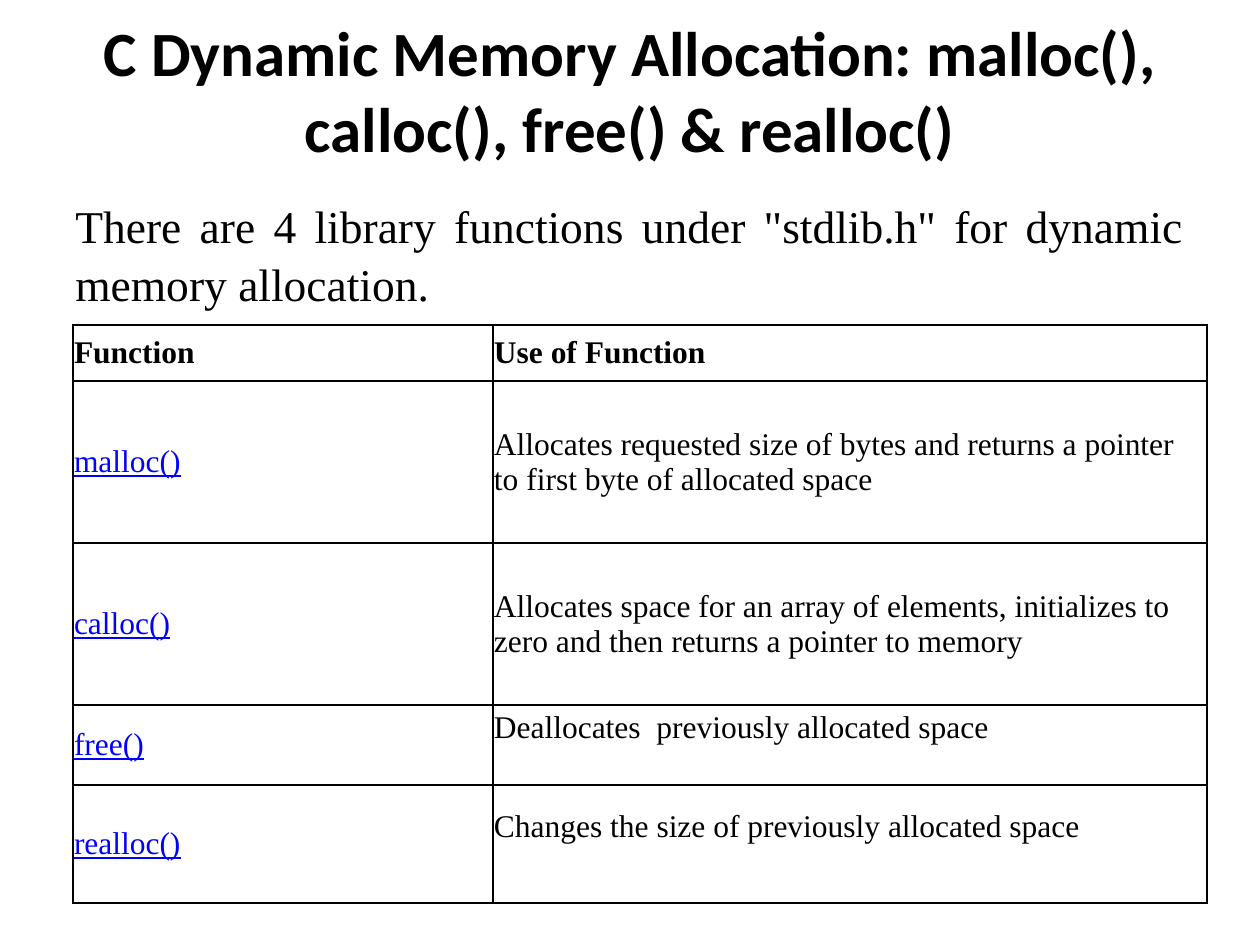
from lxml.etree import SubElement
from pptx import Presentation
from pptx.dml.color import RGBColor
from pptx.enum.text import MSO_ANCHOR as Anchor, PP_ALIGN as Align
from pptx.oxml.ns import qn
from pptx.util import Pt

PX = 914400 // 126
BLACK, LINK, WHITE = "000000", "0000FF", "FFFFFF"
SERIF = "Times New Roman"
TITLE = "C Dynamic Memory Allocation: malloc(), calloc(), free() & realloc()"
INTRO = 'There are 4 library functions under "stdlib.h" for dynamic memory allocation.'
HEADER = ("Function", "Use of Function")
FUNCTIONS = [
    ("malloc()", "Allocates requested size of bytes and returns a pointer to first byte of allocated space"),
    ("calloc()", "Allocates space for an array of elements, initializes to zero and then returns a pointer to memory"),
    ("free()", "Deallocates  previously allocated space"),
    ("realloc()", "Changes the size of previously allocated space"),
]
COLUMN_WIDTHS = (420, 714)
ROW_HEIGHTS = (56, 162, 162, 80, 118)
TABLE_LEFT, TABLE_TOP = 73, 325
CELL_MARGIN, RAISED_MARGIN = 1, 35
RAISED_CELLS = {(3, 1), (4, 1)}


def px(*lengths):
    return [length * PX for length in lengths]


def color(value):
    return RGBColor.from_string(value)


def write(frame, text, size, font=SERIF, ink=BLACK, bold=False, underline=False, align=Align.LEFT):
    frame.text = text
    frame.word_wrap = True
    para = frame.paragraphs[0]
    para.alignment = align
    style = para.runs[0].font
    style.name, style.size, style.bold, style.underline = font, Pt(size), bold, underline
    style.color.rgb = color(ink)
    return para


def add_text(page, place, anchor, *content, **look):
    frame = page.shapes.add_textbox(*px(*place)).text_frame
    frame.vertical_anchor = anchor
    return write(frame, *content, **look)


def add_borders(cell):
    properties = cell._tc.get_or_add_tcPr()
    for position, side in enumerate(("lnL", "lnR", "lnT", "lnB")):
        line = SubElement(properties, qn(f"a:{side}"), w=str(Pt(1)))
        fill = SubElement(line, qn("a:solidFill"))
        SubElement(fill, qn("a:srgbClr"), val=BLACK)
        properties.insert(position, line)


def add_function_table(page):
    rows = [HEADER, *FUNCTIONS]
    table = page.shapes.add_table(
        len(rows), len(HEADER),
        *px(TABLE_LEFT, TABLE_TOP, sum(COLUMN_WIDTHS), sum(ROW_HEIGHTS)),
    ).table
    for column, width in zip(table.columns, px(*COLUMN_WIDTHS)):
        column.width = width
    for row, height in zip(table.rows, px(*ROW_HEIGHTS)):
        row.height = height
    for r, texts in enumerate(rows):
        for c, text in enumerate(texts):
            cell = table.cell(r, c)
            is_link = r > 0 and c == 0
            bottom = RAISED_MARGIN if (r, c) in RAISED_CELLS else CELL_MARGIN
            cell.margin_left = cell.margin_right = cell.margin_top = CELL_MARGIN * PX
            cell.margin_bottom = bottom * PX
            cell.vertical_anchor = Anchor.MIDDLE
            cell.fill.solid()
            cell.fill.fore_color.rgb = color(WHITE)
            add_borders(cell)
            write(cell.text_frame, text, 18, ink=LINK if is_link else BLACK,
                  bold=r == 0, underline=is_link)


def main():
    deck = Presentation()
    deck.slide_width, deck.slide_height = px(1260, 945)
    page = deck.slides.add_slide(deck.slide_layouts[6])
    add_text(page, (63, 0, 1134, 179), Anchor.MIDDLE, TITLE, 36,
             font="Calibri", bold=True, align=Align.CENTER)
    intro = add_text(page, (63, 189, 1134, 655), Anchor.TOP, INTRO, 26, align=Align.JUSTIFY)
    intro.line_spacing = 1.06
    add_function_table(page)
    deck.save("out.pptx")


if __name__ == "__main__":
    main()
